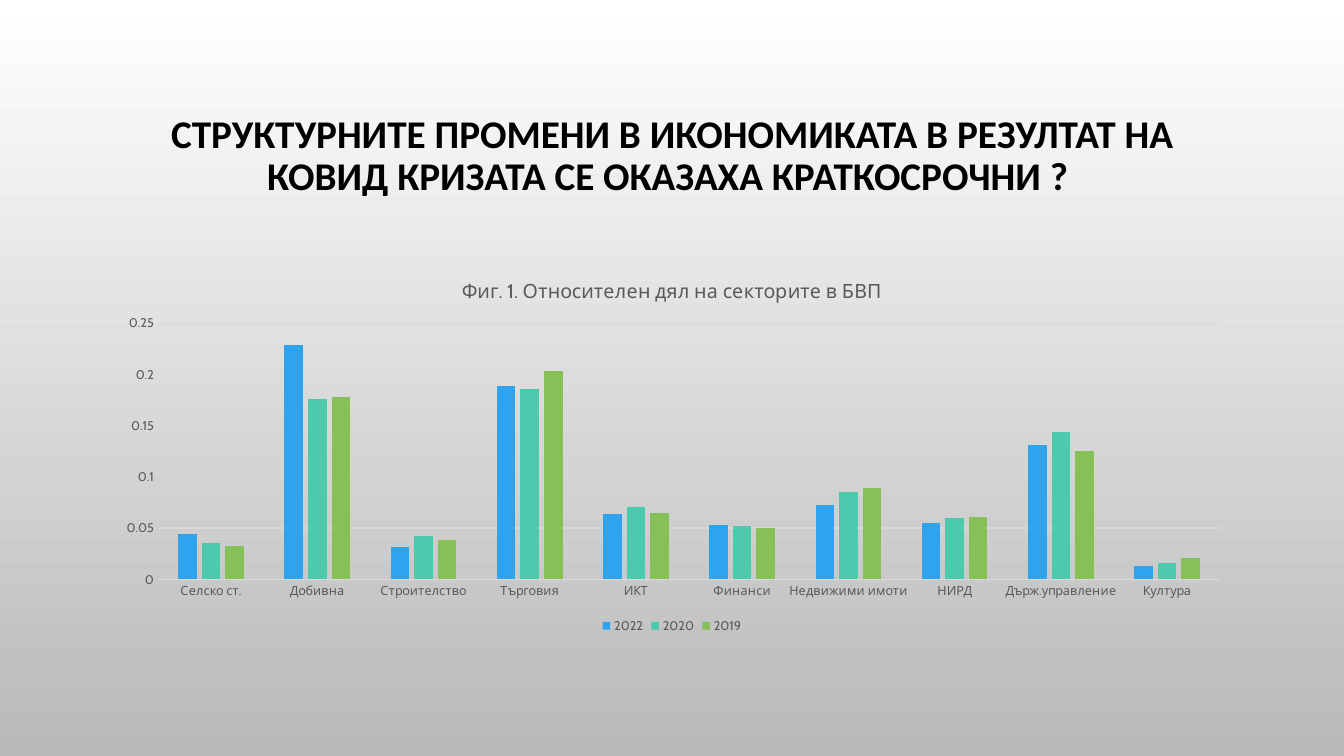
from lxml.etree import SubElement
from pptx import Presentation
from pptx.chart.data import CategoryChartData
from pptx.dml.color import RGBColor
from pptx.enum.chart import XL_CHART_TYPE, XL_LEGEND_POSITION, XL_TICK_MARK
from pptx.enum.text import MSO_ANCHOR, MSO_AUTO_SIZE, PP_ALIGN
from pptx.oxml.ns import qn
from pptx.util import Pt

COLORS = {
    "top": "FFFFFF", "bottom": "B9B9B9", "title": "000000",
    "label": "595959", "line": "D9D9D9",
    "2022": "2FA3EE", "2020": "4BCAAD", "2019": "86C157",
}
SECTORS = [
    "Селско ст.", "Добивна", "Строителство", "Търговия", "ИКТ", "Финанси",
    "Недвижими имоти", "НИРД", "Държ.управление", "Култура",
]
SHARES = {
    "2022": [0.044, 0.229, 0.031, 0.189, 0.064, 0.053, 0.072, 0.055, 0.131, 0.013],
    "2020": [0.035, 0.176, 0.042, 0.186, 0.071, 0.052, 0.085, 0.06, 0.144, 0.016],
    "2019": [0.032, 0.178, 0.038, 0.203, 0.065, 0.05, 0.089, 0.061, 0.125, 0.021],
}


def color(name):
    """Return the named colour."""
    return RGBColor.from_string(COLORS[name])


def style_font(font, size=9, name="Cabin", fill="label", bold=False):
    """Format a font."""
    font.size = Pt(size)
    font.name = name
    font.bold = bold
    font.color.rgb = color(fill)


def write_text(tf, text, align=PP_ALIGN.CENTER, spacing=None, **font):
    """Write one formatted paragraph into a text frame."""
    p = tf.paragraphs[0]
    p.alignment = align
    p.line_spacing = spacing
    r = p.add_run()
    r.text = text
    style_font(r.font, **font)


def paint_background(s):
    """Fill the slide with a vertical gradient."""
    fill = s.background.fill
    fill.gradient()
    fill.gradient_angle = 270
    for stop, name in zip(fill.gradient_stops, ("top", "bottom")):
        stop.color.rgb = color(name)


def add_title(s, text):
    """Place and format the slide title."""
    sp = s.shapes.title
    sp.left, sp.top, sp.width, sp.height = Pt(72), Pt(49), Pt(816), Pt(126)
    tf = sp.text_frame
    tf.word_wrap = True
    tf.auto_size = MSO_AUTO_SIZE.NONE
    tf.vertical_anchor = MSO_ANCHOR.MIDDLE
    write_text(tf, text, spacing=0.9, size=28, name="Calibri", fill="title", bold=True)


def style_line(line):
    """Draw a thin grey line."""
    line.color.rgb = color("line")
    line.width = Pt(0.75)


def style_axis(axis):
    """Remove tick marks and format the labels of an axis."""
    axis.major_tick_mark = axis.minor_tick_mark = XL_TICK_MARK.NONE
    style_font(axis.tick_labels.font)


def place_plot(chart, **box):
    """Set the inner plot area as fractions of the chart."""
    area = chart._chartSpace.chart.plotArea
    for old in area.findall(qn("c:layout")):
        area.remove(old)
    layout = SubElement(area, qn("c:layout"))
    area.insert(0, layout)
    manual = SubElement(layout, qn("c:manualLayout"))
    settings = {"layoutTarget": "inner", "xMode": "edge", "yMode": "edge", **box}
    for tag, val in settings.items():
        SubElement(manual, qn(f"c:{tag}")).set("val", str(val))


def add_share_chart(s, title):
    """Add the clustered columns of sector shares by year."""
    data = CategoryChartData()
    data.categories = SECTORS
    for year, values in SHARES.items():
        data.add_series(year, values)
    chart = s.shapes.add_chart(
        XL_CHART_TYPE.COLUMN_CLUSTERED, Pt(72), Pt(186.5), Pt(816), Pt(269), data
    ).chart
    style_font(chart.font, size=10, fill="title")
    chart.has_title = True
    write_text(chart.chart_title.text_frame, title, size=14)
    chart.chart_title.include_in_layout = False
    chart.has_legend = True
    chart.legend.position = XL_LEGEND_POSITION.BOTTOM
    chart.legend.include_in_layout = False
    style_font(chart.legend.font)
    style_axis(chart.category_axis)
    style_line(chart.category_axis.format.line)
    axis = chart.value_axis
    style_axis(axis)
    axis.minimum_scale, axis.maximum_scale, axis.major_unit = 0, 0.25, 0.05
    axis.format.line.fill.background()
    style_line(axis.major_gridlines.format.line)
    plot = chart.plots[0]
    plot.gap_width, plot.overlap = 219, -27
    plot.vary_by_categories = False
    for series in plot.series:
        series.format.fill.solid()
        series.format.fill.fore_color.rgb = color(series.name)
    place_plot(chart, x=0.05, y=0.165, w=0.93, h=0.68)


def main():
    """Build and save the slide."""
    prs = Presentation()
    prs.slide_width, prs.slide_height = Pt(960), Pt(540)
    s = prs.slides.add_slide(prs.slide_layouts[5])
    paint_background(s)
    add_title(s, "СТРУКТУРНИТЕ ПРОМЕНИ В ИКОНОМИКАТА В РЕЗУЛТАТ НА "
                 "КОВИД КРИЗАТА СЕ ОКАЗАХА КРАТКОСРОЧНИ ? ")
    add_share_chart(s, "Фиг. 1. Относителен дял на секторите в БВП")
    prs.save("out.pptx")


if __name__ == "__main__":
    main()
